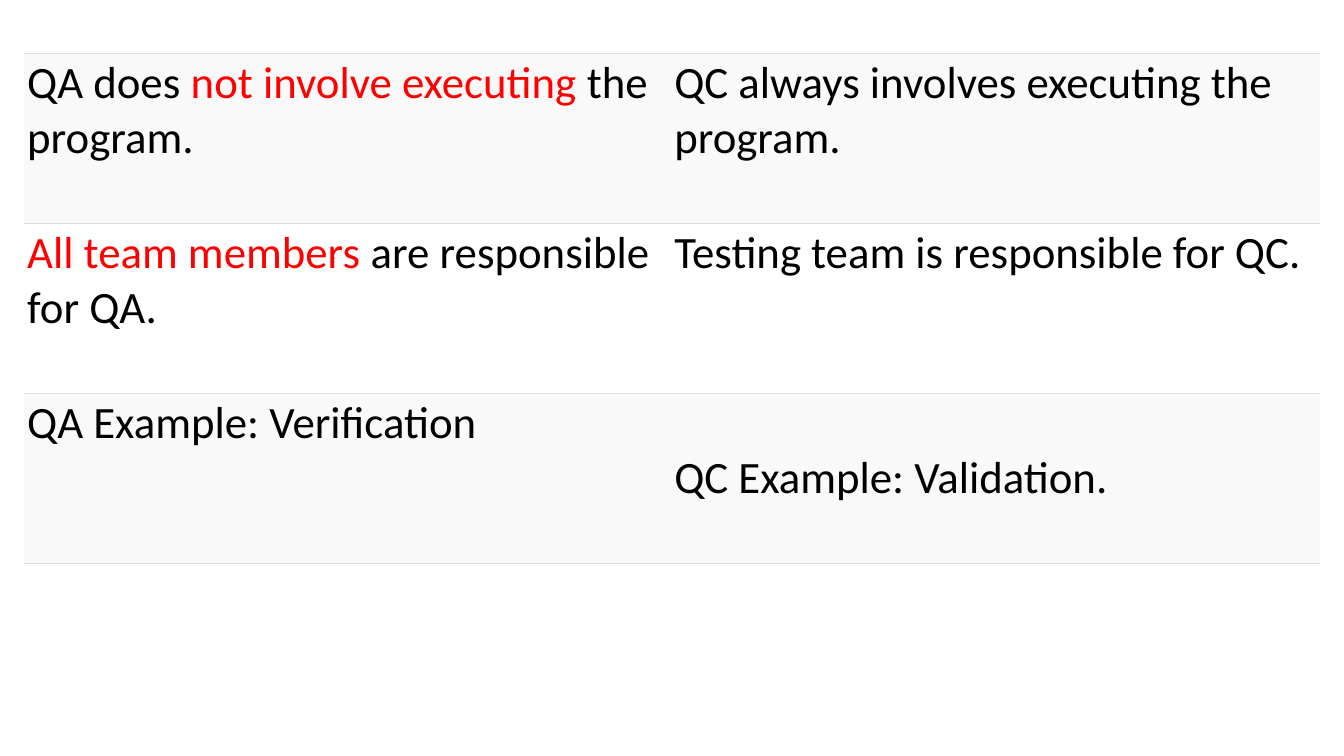
"""Build a slide with a table comparing quality assurance and quality control."""
from dataclasses import dataclass

from lxml import etree
from pptx import Presentation
from pptx.dml.color import RGBColor
from pptx.enum.text import MSO_ANCHOR
from pptx.oxml.ns import qn
from pptx.table import _Cell
from pptx.util import Inches, Pt

TOP, MIDDLE = MSO_ANCHOR.TOP, MSO_ANCHOR.MIDDLE
BLACK = RGBColor(0x00, 0x00, 0x00)
RED = RGBColor(0xFF, 0x00, 0x00)
WHITE = RGBColor(0xFF, 0xFF, 0xFF)
PALE_GREY = RGBColor(0xF9, 0xF9, 0xF9)
RULE_GREY = RGBColor(0xDD, 0xDD, 0xDD)

SLIDE_WIDTH, SLIDE_HEIGHT = Inches(13.33), Inches(7.5)
LEFT_SHARE, TOP_SHARE = 0.018, 0.07
COLUMN_SHARES = (0.4815, 0.483)
ROW_SHARE = 0.225
CELL_MARGIN = Inches(0.03)
RULE_WIDTH = Pt(0.6)


@dataclass(frozen=True)
class Phrase:
    text: str
    color: RGBColor = BLACK


@dataclass(frozen=True)
class Statement:
    phrases: tuple[Phrase, ...]
    anchor: MSO_ANCHOR = TOP


COMPARISON = (
    (
        Statement((Phrase("QA does "), Phrase("not involve executing ", RED),
                   Phrase("the program."))),
        Statement((Phrase("QC always involves executing the program."),)),
    ),
    (
        Statement((Phrase("All team members ", RED),
                   Phrase("are responsible for QA."))),
        Statement((Phrase("Testing team is responsible for QC."),)),
    ),
    (
        Statement((Phrase("QA Example: Verification"),)),
        Statement((Phrase("QC Example: Validation."),), MIDDLE),
    ),
)


def rule_cell(cell: _Cell) -> None:
    """Draw thin rules above and below a cell and none at its sides."""
    properties = cell._tc.get_or_add_tcPr()
    for position, side in enumerate(("a:lnL", "a:lnR", "a:lnT", "a:lnB")):
        line = etree.Element(qn(side), w=str(RULE_WIDTH))
        if side in ("a:lnT", "a:lnB"):
            fill = etree.SubElement(line, qn("a:solidFill"))
            etree.SubElement(fill, qn("a:srgbClr"), val=str(RULE_GREY))
        else:
            etree.SubElement(line, qn("a:noFill"))
        properties.insert(position, line)


def write_statement(cell: _Cell, statement: Statement, background: RGBColor) -> None:
    """Fill a cell and write its statement phrase by phrase."""
    cell.margin_left = cell.margin_right = CELL_MARGIN
    cell.margin_top = cell.margin_bottom = CELL_MARGIN
    cell.vertical_anchor = statement.anchor
    cell.fill.solid()
    cell.fill.fore_color.rgb = background
    for phrase in statement.phrases:
        run = cell.text_frame.paragraphs[0].add_run()
        run.text = phrase.text
        run.font.name = "Calibri"
        run.font.size = Pt(32)
        run.font.color.rgb = phrase.color
    rule_cell(cell)


def main() -> None:
    """Create the presentation and save it."""
    deck = Presentation()
    deck.slide_width, deck.slide_height = SLIDE_WIDTH, SLIDE_HEIGHT
    slide = deck.slides.add_slide(deck.slide_layouts[6])
    row_height = int(SLIDE_HEIGHT * ROW_SHARE)
    comparison = slide.shapes.add_table(
        len(COMPARISON), len(COLUMN_SHARES),
        int(SLIDE_WIDTH * LEFT_SHARE), int(SLIDE_HEIGHT * TOP_SHARE),
        int(SLIDE_WIDTH * sum(COLUMN_SHARES)), row_height * len(COMPARISON),
    ).table
    comparison.first_row = comparison.horz_banding = False
    for column, share in zip(comparison.columns, COLUMN_SHARES):
        column.width = int(SLIDE_WIDTH * share)
    for row_index, statements in enumerate(COMPARISON):
        background = WHITE if row_index % 2 else PALE_GREY
        for column_index, statement in enumerate(statements):
            write_statement(comparison.cell(row_index, column_index),
                            statement, background)
    deck.save("out.pptx")


if __name__ == "__main__":
    main()
